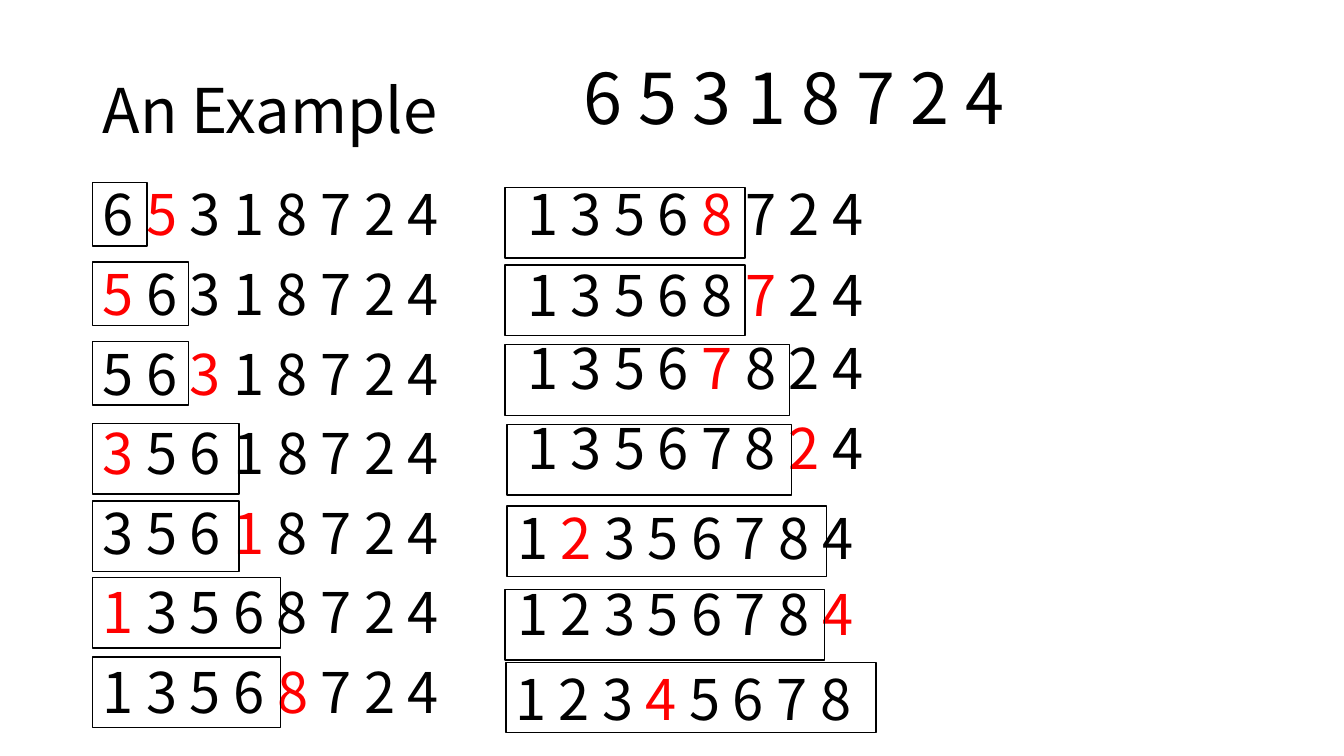
from dataclasses import dataclass

from lxml import etree
from pptx import Presentation
from pptx.dml.color import RGBColor
from pptx.enum.shapes import MSO_SHAPE as Shape
from pptx.enum.text import MSO_ANCHOR as Anchor, MSO_AUTO_SIZE as AutoSize, PP_ALIGN as Align
from pptx.oxml.ns import qn
from pptx.text.text import TextFrame
from pptx.util import Inches, Pt

BLACK = RGBColor(0x00, 0x00, 0x00)
RED = RGBColor(0xFF, 0x00, 0x00)
FONT = "Noto Sans CJK SC"
ROW_TOP, ROW_STEP = 1.81, 0.79
ROW_WIDTH, ROW_HEIGHT = 5.03, 0.77
LEFT_COLUMN = 0.92
BODY_ROW = 3


@dataclass(frozen=True)
class Frame:
    """Outline around the sorted part of a row, in inches."""
    left: float
    top: float
    width: float
    height: float = 0.7


@dataclass(frozen=True)
class Step:
    digits: str
    key: str
    left: float
    top: float
    frame: Frame


def left_step(row: int, digits: str, key: str, frame: Frame) -> Step:
    return Step(digits, key, LEFT_COLUMN, ROW_TOP + row * ROW_STEP, frame)


LEFT_STEPS = [left_step(row, *parts) for row, parts in enumerate([
    ("6 5 3 1 8 7 2 4", "5", Frame(0.92, 1.81, 0.54, 0.63)),
    ("5 6 3 1 8 7 2 4", "5", Frame(0.92, 2.6, 0.95, 0.63)),
    ("5 6 3 1 8 7 2 4", "3", Frame(0.92, 3.39, 0.95, 0.63)),
    ("3 5 6 1 8 7 2 4", "3", Frame(0.92, 4.2, 1.45)),
    ("3 5 6 1 8 7 2 4", "1", Frame(0.92, 4.97, 1.45)),
    ("1 3 5 6 8 7 2 4", "1", Frame(0.92, 5.73, 1.86)),
    ("1 3 5 6 8 7 2 4", "8", Frame(0.92, 6.52, 1.86)),
])]
RIGHT_STEPS = [
    Step("1 3 5 6 8 7 2 4", "8", 5.13, 1.81, Frame(5.01, 1.86, 2.38)),
    Step("1 3 5 6 8 7 2 4", "7", 5.13, 2.61, Frame(5.01, 2.63, 2.38)),
    Step("1 3 5 6 7 8 2 4", "7", 5.13, 3.34, Frame(5.01, 3.42, 2.82)),
    Step("1 3 5 6 7 8 2 4", "2", 5.13, 4.13, Frame(5.03, 4.21, 2.82)),
    Step("1 2 3 5 6 7 8 4", "2", 5.03, 5.02, Frame(5.03, 5.02, 3.17)),
    Step("1 2 3 5 6 7 8 4", "4", 5.03, 5.78, Frame(5.01, 5.85, 3.17)),
    Step("1 2 3 4 5 6 7 8", "4", 5.01, 6.62, Frame(5.02, 6.57, 3.67)),
]


def place(sp, left: float, top: float, width: float, height: float) -> None:
    sp.left, sp.top = Inches(left), Inches(top)
    sp.width, sp.height = Inches(width), Inches(height)


def write_line(tf: TextFrame, text: str, size: int, key: str = "") -> None:
    """Write one line of text with the key digit in red."""
    tf.word_wrap = True
    tf.auto_size = AutoSize.NONE
    p = tf.paragraphs[0]
    p.alignment = Align.LEFT
    p.line_spacing = 0.9
    p.space_before = Pt(0)
    before, found, after = text.partition(key) if key else (text, "", "")
    for part, color in ((before, BLACK), (found, RED), (after, BLACK)):
        if part:
            r = p.add_run()
            r.text = part
            r.font.name = FONT
            r.font.size = Pt(size)
            r.font.color.rgb = color
            for tag in ("a:ea", "a:cs"):
                etree.SubElement(r.font._element, qn(tag)).set("typeface", FONT)


def add_line_box(s, left: float, top: float) -> TextFrame:
    box = s.shapes.add_textbox(Inches(left), Inches(top),
                               Inches(ROW_WIDTH), Inches(ROW_HEIGHT))
    return box.text_frame


def use_body(s, left: float, top: float) -> TextFrame:
    """Move the body placeholder to a row and remove its bullet."""
    body = s.placeholders[1]
    place(body, left, top, ROW_WIDTH, ROW_HEIGHT)
    pPr = body.text_frame.paragraphs[0]._p.get_or_add_pPr()
    pPr.set("marL", "0")
    pPr.set("indent", "0")
    etree.SubElement(pPr, qn("a:buNone"))
    return body.text_frame


def add_frame(s, frame: Frame) -> None:
    sp = s.shapes.add_shape(Shape.RECTANGLE, Inches(frame.left), Inches(frame.top),
                            Inches(frame.width), Inches(frame.height))
    sp.shadow.inherit = False
    sp.fill.background()
    sp.line.color.rgb = BLACK
    sp.line.width = Pt(1)


def main() -> None:
    prs = Presentation()
    prs.slide_width, prs.slide_height = Inches(13.33), Inches(7.5)
    s = prs.slides.add_slide(prs.slide_layouts[1])

    title = s.shapes.title
    place(title, 0.92, 0.4, 11.5, 1.45)
    title.text_frame.vertical_anchor = Anchor.MIDDLE
    write_line(title.text_frame, "An Example", 44)
    write_line(add_line_box(s, 5.69, 0.59), "6 5 3 1 8 7 2 4", 50)

    body_step = LEFT_STEPS[BODY_ROW]
    for step in LEFT_STEPS + RIGHT_STEPS:
        make_box = use_body if step is body_step else add_line_box
        write_line(make_box(s, step.left, step.top), step.digits, 40, step.key)
        add_frame(s, step.frame)

    prs.save("out.pptx")


if __name__ == "__main__":
    main()
